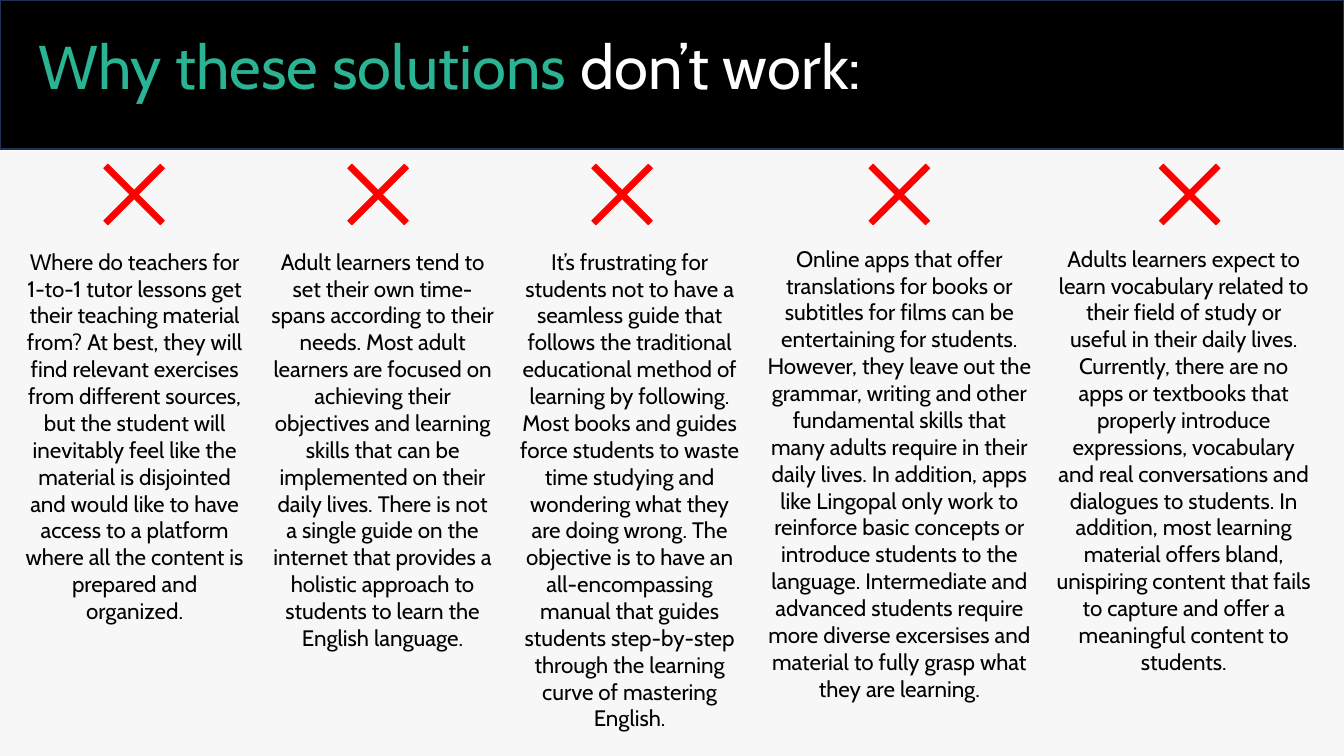
import dataclasses

import pptx
import pptx.dml.color
import pptx.enum.shapes
import pptx.enum.text
import pptx.util

Inches = pptx.util.Inches
Pt = pptx.util.Pt
Color = pptx.dml.color.RGBColor.from_string


@dataclasses.dataclass(frozen=True)
class Theme:
    font: str = "Cabin"
    title_size: int = 44
    body_size: int = 16
    background: str = "F7F7F7"
    band: str = "000000"
    band_line: str = "1E3256"
    accent: str = "2AB493"
    light: str = "FFFFFF"
    text: str = "000000"
    cross: str = "FF0000"


THEME = Theme()
CROSS_MIDDLE = 1.93

# Left, top, width, height of the text, centre of the cross, wording
REASONS = [
    (0.22, 2.41, 2.33, 3.87, 1.33,
     "Where do teachers for 1-to-1 tutor lessons get their teaching material from? "
     "At best, they will find relevant exercises from different sources, but the "
     "student will inevitably feel like the material is disjointed and would like to "
     "have access to a platform where all the content is prepared and organized."),
    (2.68, 2.41, 2.33, 4.14, 3.75,
     "Adult learners tend to set their own time-spans according to their needs. Most "
     "adult learners are focused on achieving their objectives and learning skills "
     "that can be implemented on their daily lives. There is not a single guide on "
     "the internet that provides a holistic approach to students to learn the "
     "English language."),
    (5.13, 2.41, 2.33, 4.95, 6.17,
     "It’s frustrating for students not to have a seamless guide that follows the "
     "traditional educational method of learning by following. Most books and guides "
     "force students to waste time studying and wondering what they are doing wrong. "
     "The objective is to have an all-encompassing manual that guides students "
     "step-by-step through the learning curve of mastering English."),
    (7.59, 2.38, 2.76, 4.68, 8.92,
     "Online apps that offer translations for books or subtitles for films can be "
     "entertaining for students. However, they leave out the grammar, writing and "
     "other fundamental skills that many adults require in their daily lives. In "
     "addition, apps like Lingopal only work to reinforce basic concepts or introduce "
     "students to the language. Intermediate and advanced students require more "
     "diverse excersises and material to fully grasp what they are learning."),
    (10.47, 2.38, 2.64, 4.41, 11.8,
     "Adults learners expect to learn vocabulary related to their field of study or "
     "useful in their daily lives. Currently, there are no apps or textbooks that "
     "properly introduce expressions, vocabulary and real conversations and dialogues "
     "to students. In addition, most learning material offers bland, unispiring "
     "content that fails to capture and offer a meaningful content to students."),
]

# Upper half of the cross, measured from its centre
CROSS_HALF = [(0.3, -0.26), (0.26, -0.3), (0, -0.04),
              (-0.26, -0.3), (-0.3, -0.26), (-0.04, 0)]


def set_frame(frame):
    frame.word_wrap = True
    frame.auto_size = pptx.enum.text.MSO_AUTO_SIZE.SHAPE_TO_FIT_TEXT
    frame.vertical_anchor = pptx.enum.text.MSO_ANCHOR.TOP
    frame.margin_left = 0
    frame.margin_right = Inches(0.1)
    frame.margin_top = frame.margin_bottom = Inches(0.05)


def paint(shape, fill, line, width):
    shape.shadow.inherit = False
    shape.fill.solid()
    shape.fill.fore_color.rgb = Color(fill)
    shape.line.color.rgb = Color(line)
    shape.line.width = Pt(width)


def add_header(page, left, top, width, height):
    # Black band, placed behind the title
    band = page.shapes.add_shape(
        pptx.enum.shapes.MSO_SHAPE.RECTANGLE,
        Inches(left), Inches(top), Inches(width), Inches(height))
    paint(band, THEME.band, THEME.band_line, 1)
    title = page.shapes.title
    title.element.addprevious(band.element)

    # Two-colour title
    title.left, title.top = Inches(left + 0.38), Inches(top + 0.31)
    title.width, title.height = Inches(8.28), Inches(0.77)
    set_frame(title.text_frame)
    para = title.text_frame.paragraphs[0]
    para.alignment = pptx.enum.text.PP_ALIGN.LEFT
    para.line_spacing = 0.9
    para.space_before = Pt(10)
    para.font.name = THEME.font
    para.font.size = Pt(THEME.title_size)
    for words, color in (("Why these solutions ", THEME.accent),
                         ("don’t work:", THEME.light)):
        span = para.add_run()
        span.text = words
        span.font.color.rgb = Color(color)


def add_cross(page, center, middle):
    # The lower half is the upper one turned by 180 degrees
    outline = CROSS_HALF + [(-x, -y) for x, y in CROSS_HALF]
    points = [(Inches(center + x), Inches(middle + y)) for x, y in outline]
    builder = page.shapes.build_freeform(*points[0])
    builder.add_line_segments(points[1:], close=True)
    paint(builder.convert_to_shape(), THEME.cross, THEME.cross, 0.75)


def add_reason(page, left, top, width, height, cross_center, words):
    add_cross(page, cross_center, CROSS_MIDDLE)
    box = page.shapes.add_textbox(
        Inches(left), Inches(top), Inches(width), Inches(height))
    set_frame(box.text_frame)
    para = box.text_frame.paragraphs[0]
    para.text = words
    para.alignment = pptx.enum.text.PP_ALIGN.CENTER
    para.font.name = THEME.font
    para.font.size = Pt(THEME.body_size)
    para.font.color.rgb = Color(THEME.text)


def main():
    deck = pptx.Presentation()
    deck.slide_width, deck.slide_height = Inches(13.33), Inches(7.5)
    page = deck.slides.add_slide(deck.slide_layouts.get_by_name("Title Only"))
    page.background.fill.solid()
    page.background.fill.fore_color.rgb = Color(THEME.background)
    add_header(page, 0, 0, 13.33, 1.48)
    for reason in REASONS:
        add_reason(page, *reason)
    deck.save("out.pptx")


if __name__ == "__main__":
    main()
